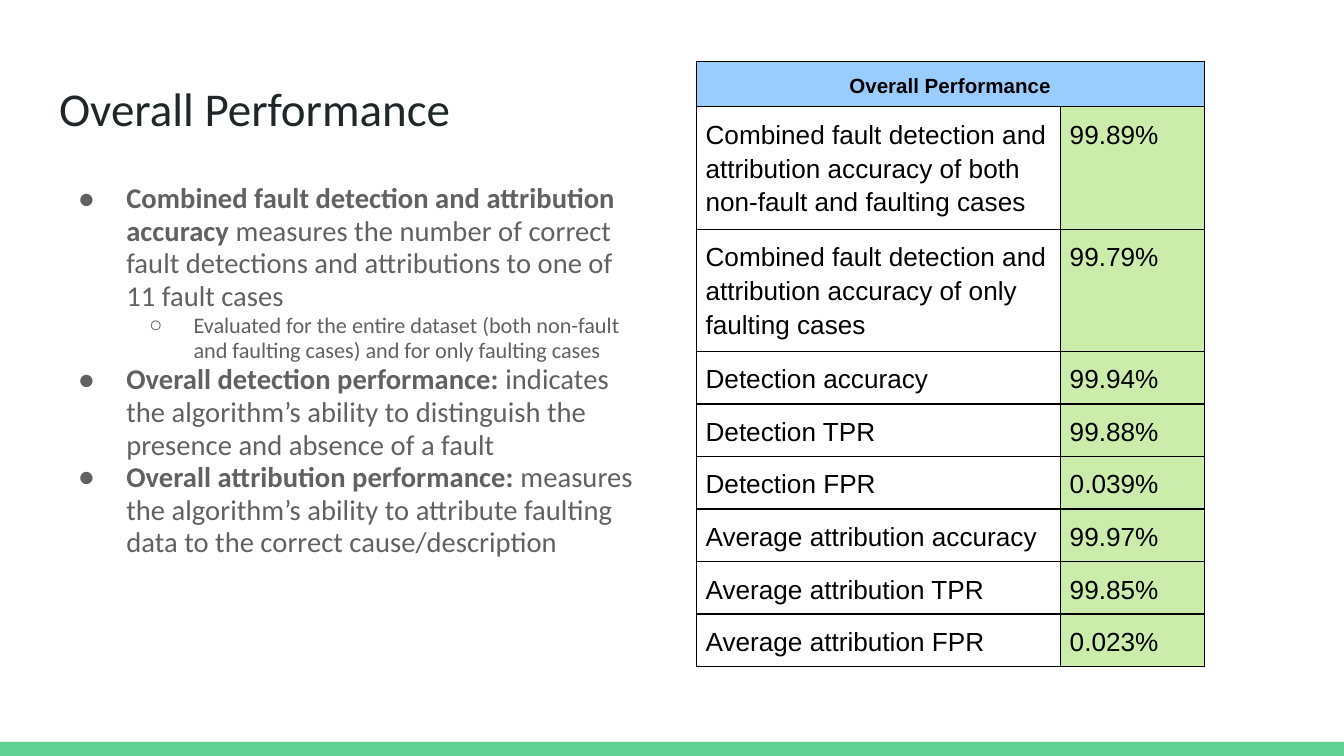
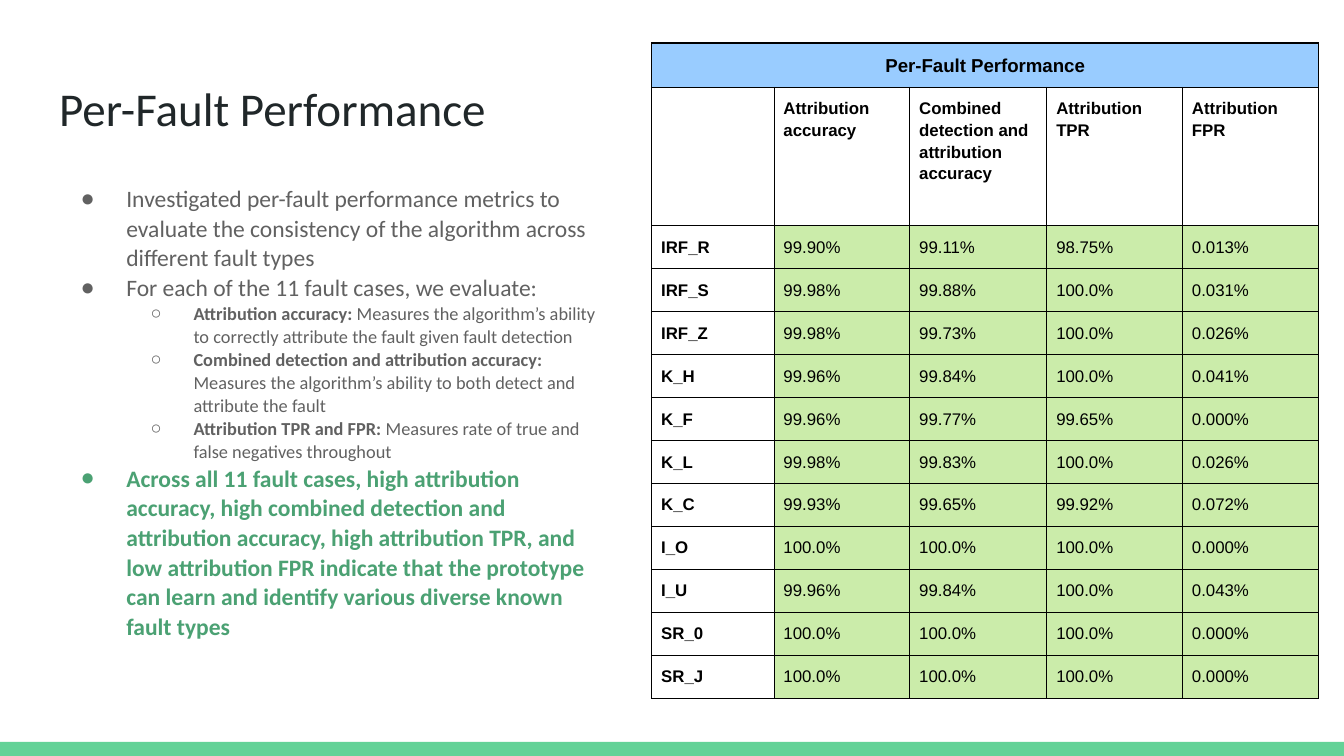
from lxml import etree
from pptx import Presentation
from pptx import util as u
from pptx.dml import color
from pptx.enum import shapes, text
from pptx.oxml import ns

# Shared style
BAND, TITLE, BODY, ACCENT = "63D297", "202729", "616161", "4BA173"
HEADER, VALUE, BLACK = "99CCFF", "CBECAA", "000000"
BODY_FONT, TABLE_FONT, BULLET_FONT = "Calibri", "Arial", "Arial"
BULLETS = "●○"

# Bullets: level, bold lead, plain rest
OVERALL_POINTS = [
    (0, "Combined fault detection and attribution accuracy",
     " measures the number of correct fault detections and attributions to one of 11 fault cases"),
    (1, "", "Evaluated for the entire dataset (both non-fault and faulting cases) "
     "and for only faulting cases"),
    (0, "Overall detection performance:",
     " indicates the algorithm’s ability to distinguish the presence and absence of a fault"),
    (0, "Overall attribution performance:",
     " measures the algorithm’s ability to attribute faulting data to the correct cause/description"),
]
FAULT_POINTS = [
    (0, "", "Investigated per-fault performance metrics to evaluate the consistency "
     "of the algorithm across different fault types"),
    (0, "", "For each of the 11 fault cases, we evaluate:"),
    (1, "Attribution accuracy:",
     " Measures the algorithm’s ability to correctly attribute the fault given fault detection"),
    (1, "Combined detection and attribution accuracy: ",
     "Measures the algorithm’s ability to both detect and attribute the fault"),
    (1, "Attribution TPR and FPR:", " Measures rate of true and false negatives throughout"),
    (0, "Across all 11 fault cases, high attribution accuracy, high combined detection and "
     "attribution accuracy, high attribution TPR, and low attribution FPR indicate that the "
     "prototype can learn and identify various diverse known fault types", ""),
]

# Table contents
OVERALL_ROWS = [
    ("Combined fault detection and attribution accuracy of both non-fault and faulting cases",
     "99.89%"),
    ("Combined fault detection and attribution accuracy of only faulting cases", "99.79%"),
    ("Detection accuracy", "99.94%"),
    ("Detection TPR", "99.88%"),
    ("Detection FPR", "0.039%"),
    ("Average attribution accuracy", "99.97%"),
    ("Average attribution TPR", "99.85%"),
    ("Average attribution FPR", "0.023%"),
]
FAULT_ROWS = [
    ("", "Attribution accuracy", "Combined detection and attribution accuracy",
     "Attribution TPR", "Attribution FPR"),
    ("IRF_R", "99.90%", "99.11%", "98.75%", "0.013%"),
    ("IRF_S", "99.98%", "99.88%", "100.0%", "0.031%"),
    ("IRF_Z", "99.98%", "99.73%", "100.0%", "0.026%"),
    ("K_H", "99.96%", "99.84%", "100.0%", "0.041%"),
    ("K_F", "99.96%", "99.77%", "99.65%", "0.000%"),
    ("K_L", "99.98%", "99.83%", "100.0%", "0.026%"),
    ("K_C", "99.93%", "99.65%", "99.92%", "0.072%"),
    ("I_O", "100.0%", "100.0%", "100.0%", "0.000%"),
    ("I_U", "99.96%", "99.84%", "100.0%", "0.043%"),
    ("SR_0", "100.0%", "100.0%", "100.0%", "0.000%"),
    ("SR_J", "100.0%", "100.0%", "100.0%", "0.000%"),
]


def rgb(value):
    return color.RGBColor.from_string(value)


def add_xml(parent, tag, **attributes):
    return etree.SubElement(parent, ns.qn(tag), attributes)


def add_solid_xml(parent, value):
    add_xml(add_xml(parent, "a:solidFill"), "a:srgbClr", val=value)


def place(box, left, top, width, height):
    box.left, box.top = u.Inches(left), u.Inches(top)
    box.width, box.height = u.Inches(width), u.Inches(height)


def style_span(span, font, size, value, bold=False):
    span.font.name, span.font.size, span.font.bold = font, u.Pt(size), bold
    span.font.color.rgb = rgb(value)


def prepare_frame(box):
    frame = box.text_frame
    frame.word_wrap = True
    frame.auto_size = text.MSO_AUTO_SIZE.NONE
    frame.vertical_anchor = text.MSO_ANCHOR.TOP
    frame.margin_left = frame.margin_right = u.Inches(0.1)
    frame.margin_top = frame.margin_bottom = u.Inches(0.1)
    return frame


def add_band(slide):
    """Draw the bottom band and hand it to the layout, so every slide shows it."""
    band = slide.shapes.add_shape(shapes.MSO_SHAPE.RECTANGLE, 0, u.Inches(5.52),
                                  u.Inches(10), u.Inches(0.11))
    band.shadow.inherit = False
    band.fill.solid()
    band.fill.fore_color.rgb = rgb(BAND)
    band.line.fill.background()
    slide.slide_layout.shapes._spTree.append(band._element)


def set_title(slide, title):
    box = slide.shapes.title
    place(box, 0.34, 0.49, 9.32, 0.63)
    para = prepare_frame(box).paragraphs[0]
    para.text = title
    para.alignment = text.PP_ALIGN.LEFT
    style_span(para.runs[0], BODY_FONT, 25.2, TITLE)


def set_bullet(para, level, hang, value):
    props = para._p.get_or_add_pPr()
    props.set("marL", str(u.Inches(0.5 * (level + 1))))
    props.set("indent", str(-u.Inches(hang)))
    add_xml(add_xml(props, "a:buClr"), "a:srgbClr", val=value)
    add_xml(props, "a:buFont", typeface=BULLET_FONT)
    add_xml(props, "a:buChar", char=BULLETS[level])


def set_points(slide, points, width, height, sizes, hangs, spacing):
    box = slide.placeholders[1]
    place(box, 0.34, 1.26, width, height)
    frame = prepare_frame(box)
    for index, (level, lead, rest) in enumerate(points):
        para = frame.paragraphs[0] if index == 0 else frame.add_paragraph()
        para.level = level
        para.alignment = text.PP_ALIGN.LEFT
        para.line_spacing = spacing
        para.space_before = para.space_after = u.Pt(0)
        value = BODY if rest else ACCENT
        set_bullet(para, level, hangs[level], value)
        for words, bold in ((lead, True), (rest, False)):
            if words:
                span = para.add_run()
                span.text = words
                style_span(span, BODY_FONT, sizes[level], value, bold)


def set_cell(cell, words, size, bold=False, fill=None, align=text.PP_ALIGN.LEFT):
    cell.margin_left = cell.margin_right = u.Inches(0.07)
    cell.margin_top = cell.margin_bottom = u.Inches(0.07)
    props = cell._tc.get_or_add_tcPr()
    for side in "LRTB":
        add_solid_xml(add_xml(props, "a:ln" + side, w=str(u.Pt(0.75))), BLACK)
    if fill:
        cell.fill.solid()
        cell.fill.fore_color.rgb = rgb(fill)
    else:
        cell.fill.background()
    para = cell.text_frame.paragraphs[0]
    para.alignment = align
    para.line_spacing = 1.15
    if words:
        para.text = words
        style_span(para.runs[0], TABLE_FONT, size, BLACK, bold)


def add_results(slide, left, top, heading, rows, widths, heights, heading_size, size,
                bold_labels=False):
    """A merged heading row, then labels in white and percentages in green."""
    table = slide.shapes.add_table(
        len(heights), len(widths), u.Inches(left), u.Inches(top),
        u.Inches(sum(widths)), u.Inches(sum(heights))).table
    table.first_row = table.horz_banding = False
    for column, width in zip(table.columns, widths):
        column.width = u.Inches(width)
    for row, height in zip(table.rows, heights):
        row.height = u.Inches(height)
    for column in range(len(widths)):
        set_cell(table.cell(0, column), "" if column else heading, heading_size, True,
                 HEADER, text.PP_ALIGN.CENTER)
    table.cell(0, 0).merge(table.cell(0, len(widths) - 1))
    for index, row in enumerate(rows, start=1):
        for column, words in enumerate(row):
            is_value = words.endswith("%")
            set_cell(table.cell(index, column), words, size,
                     bold_labels and not is_value, VALUE if is_value else None)


def main():
    # 16:9 page
    deck = Presentation()
    deck.slide_width = u.Inches(10)
    deck.slide_height = deck.slide_width * 9 // 16
    layout = deck.slide_layouts[1]

    # Overall results
    slide = deck.slides.add_slide(layout)
    add_band(slide)
    set_title(slide, "Overall Performance")
    set_points(slide, OVERALL_POINTS, 4.53, 3.74, (15.3, 11.9), (0.36, 0.33), 0.95)
    add_results(slide, 5.18, 0.46, "Overall Performance", OVERALL_ROWS, [2.71, 1.07],
                [0.33] + [0.91] * 2 + [0.39] * 6, 11, 14)

    # Results for each fault
    slide = deck.slides.add_slide(layout)
    set_title(slide, "Per-Fault Performance")
    set_points(slide, FAULT_POINTS, 4.26, 3.93, (12.6, 9.8), (0.34, 0.32), 1.05)
    add_results(slide, 4.85, 0.32, "Per-Fault Performance", FAULT_ROWS,
                [0.91, 1.01, 1.02, 1.01, 1.01], [0.33, 1.03] + [0.32] * 11, 10, 9,
                bold_labels=True)

    deck.save("out.pptx")


if __name__ == "__main__":
    main()
